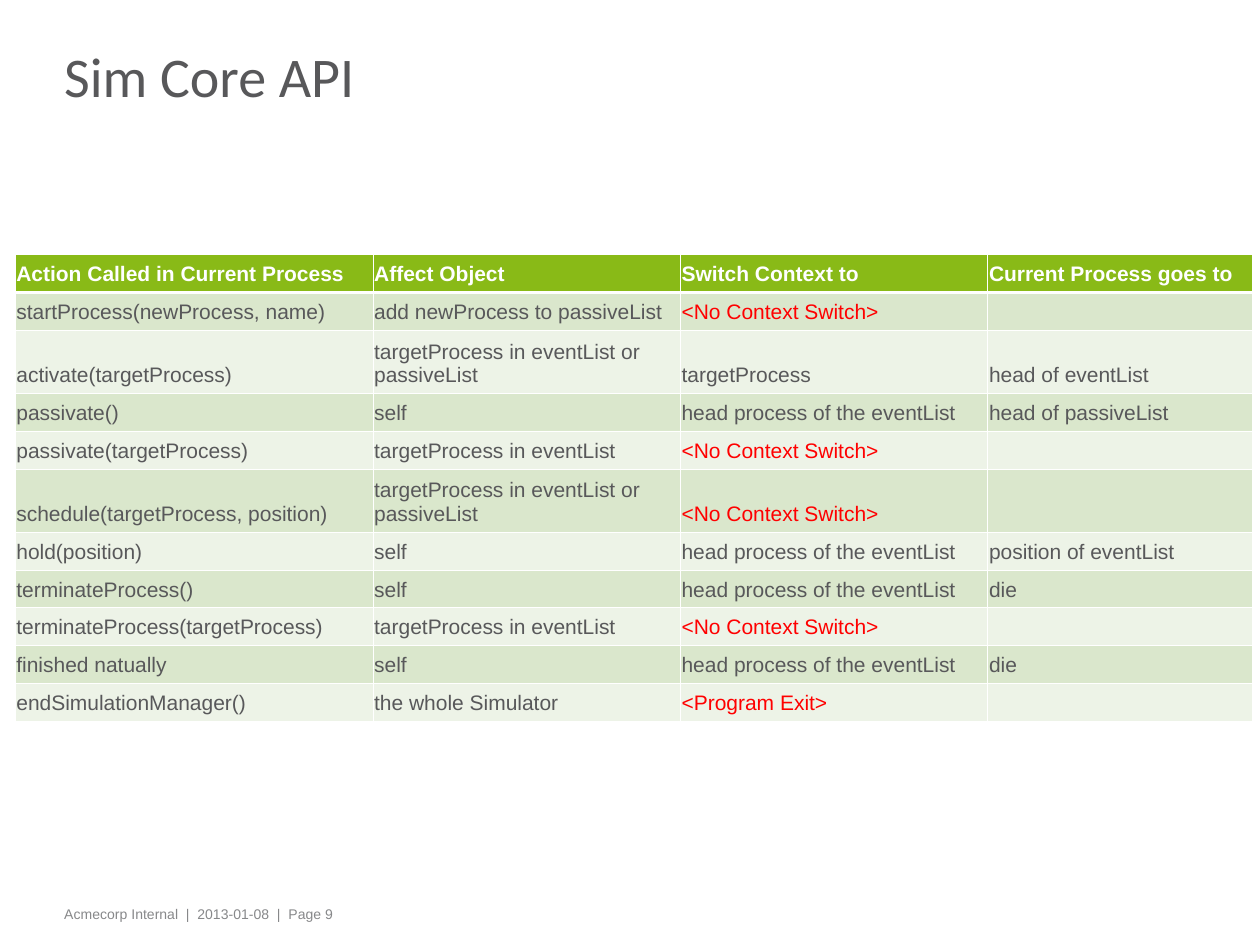
import lxml.etree
import pptx
import pptx.dml.color
import pptx.enum.text
import pptx.oxml.ns
import pptx.util

Inches = pptx.util.Inches
Pt = pptx.util.Pt
ANCHOR = pptx.enum.text.MSO_ANCHOR
qn = pptx.oxml.ns.qn

COLORS = {
    "white": "FFFFFF",
    "text": "58585A",
    "footer": "87888A",
    "alert": "FF0000",
    "header": "89BA17",
    "odd": "DAE7CC",
    "even": "EDF3E7",
}
NO_SWITCH = "<No Context Switch>"
EITHER_LIST = "targetProcess in eventList or passiveList"
EVENT_LIST = "targetProcess in eventList"
HEAD = "head process of the eventList"
API_ROWS = [
    ("Action Called in Current Process", "Affect Object", "Switch Context to", "Current Process goes to"),
    ("startProcess(newProcess, name)", "add newProcess to passiveList", NO_SWITCH, ""),
    ("activate(targetProcess)", EITHER_LIST, "targetProcess", "head of eventList"),
    ("passivate()", "self", HEAD, "head of passiveList"),
    ("passivate(targetProcess)", EVENT_LIST, NO_SWITCH, ""),
    ("schedule(targetProcess, position)", EITHER_LIST, NO_SWITCH, ""),
    ("hold(position)", "self", HEAD, "position of eventList"),
    ("terminateProcess()", "self", HEAD, "die"),
    ("terminateProcess(targetProcess)", EVENT_LIST, NO_SWITCH, ""),
    ("finished natually", "self", HEAD, "die"),
    ("endSimulationManager()", "the whole Simulator", "<Program Exit>", ""),
]
COLUMN_WIDTHS = (2.84, 2.44, 2.44, 2.1)


def color(name):
    return pptx.dml.color.RGBColor.from_string(COLORS[name])


def write_text(frame, text, size=12, font="Arial", ink="text", bold=False, before=0, spacing=1.0):
    para = frame.paragraphs[0]
    para.space_before = Pt(before)
    para.line_spacing = spacing
    if not text:
        lxml.etree.SubElement(para._p, qn("a:endParaRPr"), sz=str(size * 100))
        return
    span = para.add_run()
    span.text = text
    span.font.size = Pt(size)
    span.font.name = font
    span.font.bold = bold
    span.font.color.rgb = color(ink)


class SlideBuilder:
    """Holds the page and the style of its text and table."""

    def __init__(self, page):
        self.page = page
        self.thin = 0.45
        self.thick = 1.47

    def add_text(self, left, top, width, height, text, inset=0.05, anchor=ANCHOR.TOP, **style):
        box = self.page.shapes.add_textbox(Inches(left), Inches(top), Inches(width), Inches(height))
        frame = box.text_frame
        frame.word_wrap = True
        frame.vertical_anchor = anchor
        frame.margin_left = frame.margin_right = Inches(0.08)
        frame.margin_top = frame.margin_bottom = Inches(inset)
        write_text(frame, text, **style)

    def add_border(self, cell, side, width):
        line = lxml.etree.SubElement(cell._tc.get_or_add_tcPr(), qn(f"a:ln{side}"), w=str(Pt(width)))
        fill = lxml.etree.SubElement(line, qn("a:solidFill"))
        lxml.etree.SubElement(fill, qn("a:srgbClr"), val=COLORS["white"])

    def fill_cell(self, cell, row, text):
        cell.margin_left = cell.margin_right = Inches(0.01)
        cell.margin_top = cell.margin_bottom = Inches(0.05)
        cell.vertical_anchor = ANCHOR.BOTTOM
        heavy_side = {0: "B", 1: "T"}.get(row)
        for side in "LRTB":
            self.add_border(cell, side, self.thick if side == heavy_side else self.thin)
        cell.fill.solid()
        cell.fill.fore_color.rgb = color("header" if row == 0 else "odd" if row % 2 else "even")
        ink = "white" if row == 0 else "alert" if text.startswith("<") else "text"
        write_text(cell.text_frame, text, ink=ink, bold=row == 0)

    def add_table(self, left, top, rows, widths):
        heights = [0.46 if EITHER_LIST in row else 0.24 for row in rows]
        table = self.page.shapes.add_table(
            len(rows), len(widths), Inches(left), Inches(top),
            Inches(sum(widths)), Inches(sum(heights))).table
        for column, width in zip(table.columns, widths):
            column.width = Inches(width)
        for index, (values, height) in enumerate(zip(rows, heights)):
            table.rows[index].height = Inches(height)
            for cell, text in zip(table.rows[index].cells, values):
                self.fill_cell(cell, index, text)


def main():
    deck = pptx.Presentation()
    deck.slide_width = Inches(10)
    deck.slide_height = Inches(7.5)
    builder = SlideBuilder(deck.slides.add_slide(deck.slide_layouts[6]))
    builder.add_text(0.43, 7.14, 8.09, 0.24, "Acmecorp Internal  |  2013-01-08  |  Page 9",
                     size=8, ink="footer", before=5)
    builder.add_text(0.43, 0.26, 8.2, 0.78, "Sim Core API", inset=0, anchor=ANCHOR.MIDDLE,
                     size=32, font="Calibri", spacing=0.75)
    builder.add_table(0.12, 2.02, API_ROWS, COLUMN_WIDTHS)
    deck.save("out.pptx")


if __name__ == "__main__":
    main()
